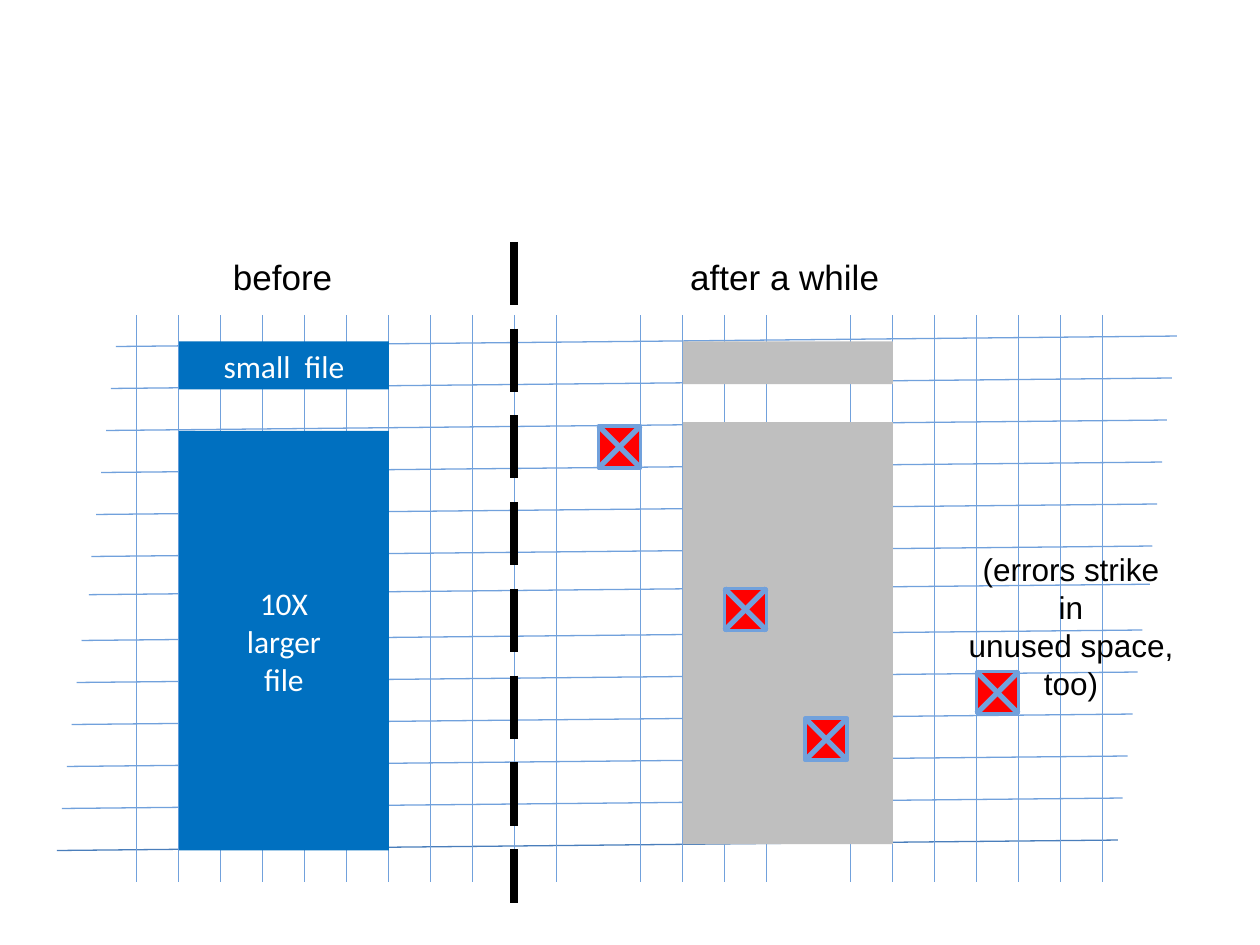
from typing import NamedTuple, Optional

from lxml import etree
from pptx import Presentation
from pptx.dml.color import RGBColor
from pptx.enum.dml import MSO_LINE
from pptx.enum.shapes import MSO_CONNECTOR, MSO_SHAPE
from pptx.enum.text import MSO_ANCHOR, MSO_AUTO_SIZE, PP_ALIGN
from pptx.oxml.ns import qn
from pptx.util import Inches, Pt

RECTANGLE = MSO_SHAPE.RECTANGLE
STRAIGHT = MSO_CONNECTOR.STRAIGHT
LONG_DASH = MSO_LINE.LONG_DASH
MIDDLE = MSO_ANCHOR.MIDDLE
FIT_SHAPE = MSO_AUTO_SIZE.SHAPE_TO_FIT_TEXT
LEFT, CENTER = PP_ALIGN.LEFT, PP_ALIGN.CENTER

COLORS = {
    "grid": "71A1DC",
    "last row": "4A7EBB",
    "file": "0070C0",
    "aged file": "BFBFBF",
    "error": "FF0000",
    "white": "FFFFFF",
    "black": "000000",
}

CELL = 1 / 3
ROW_COUNT, COLUMN_COUNT = 13, 24
GRID_LEFT, GRID_TOP, GRID_BOTTOM = 1.083, 2.5, 7
ROW_LEFT, ROW_TOP, ROW_WIDTH, ROW_RISE, ROW_SHIFT = 0.92, 2.75, 8.42, 0.083, 0.039
OFFSET_ROW, OFFSET_X, OFFSET_Y = 6, 0.02, -0.03
MISSING_COLUMNS = (11, 16)


class Block(NamedTuple):
    left: float
    top: float
    height: float
    color: str
    text: str = ""


class Label(NamedTuple):
    left: float
    top: float
    width: float
    height: float
    text: str
    size: int
    alignment: PP_ALIGN = LEFT


class BadCell(NamedTuple):
    left: float
    top: float


BLOCK_WIDTH = 5 * CELL
BLOCKS = [
    Block(1.42, 2.71, 0.38, "file", "small  file"),
    Block(1.42, 3.42, 3.33, "file", "10X\vlarger\vfile"),
    Block(5.42, 2.71, 0.34, "aged file"),
    Block(5.42, 3.35, 3.35, "aged file"),
]
BAD_CELLS = [BadCell(7.75, 5.33), BadCell(6.39, 5.7),
             BadCell(5.75, 4.67), BadCell(4.75, 3.38)]
LABELS = [
    Label(1.75, 1.98, 0.99, 0.44, "before", 20),
    Label(5.38, 1.98, 1.7, 0.44, "after a while", 20),
    Label(7.57, 4.32, 1.86, 1, "(errors strike in\vunused space,\vtoo)", 18, CENTER),
]


def rgb(name: str) -> RGBColor:
    return RGBColor.from_string(COLORS[name])


def write_text(shape, text: str, *, size: int, font: str, color: str,
               alignment: PP_ALIGN) -> None:
    paragraph = shape.text_frame.paragraphs[0]
    paragraph.text = text
    paragraph.alignment = alignment
    for run in paragraph.runs:
        run.font.size = Pt(size)
        run.font.name = font
        run.font.color.rgb = rgb(color)


def draw_line(slide, x1: float, y1: float, x2: float, y2: float,
              color: str = "grid", width: float = 0.75):
    line = slide.shapes.add_connector(
        STRAIGHT, Inches(x1), Inches(y1), Inches(x2), Inches(y2))
    line.line.color.rgb = rgb(color)
    line.line.width = Pt(width)
    etree.SubElement(line._element.spPr, qn("a:effectLst"))
    return line


def draw_rectangle(slide, left: float, top: float, width: float, height: float,
                   color: str, outline: Optional[str] = None):
    shape = slide.shapes.add_shape(
        RECTANGLE, Inches(left), Inches(top), Inches(width), Inches(height))
    shape.shadow.inherit = False
    shape.fill.solid()
    shape.fill.fore_color.rgb = rgb(color)
    if outline:
        shape.line.color.rgb = rgb(outline)
        shape.line.width = Pt(2)
    else:
        shape.line.fill.background()
    return shape


def draw_grid(slide) -> None:
    for row in range(ROW_COUNT):
        left = ROW_LEFT - row * ROW_SHIFT
        top = ROW_TOP + row * CELL
        if row == OFFSET_ROW:
            left, top = left + OFFSET_X, top + OFFSET_Y
        color = "last row" if row == ROW_COUNT - 1 else "grid"
        draw_line(slide, left, top, left + ROW_WIDTH, top - ROW_RISE, color)
    for column in range(COLUMN_COUNT):
        if column not in MISSING_COLUMNS:
            x = GRID_LEFT + column * CELL
            draw_line(slide, x, GRID_TOP, x, GRID_BOTTOM)


def draw_block(slide, block: Block) -> None:
    shape = draw_rectangle(slide, block.left, block.top, BLOCK_WIDTH,
                           block.height, block.color)
    if block.text:
        shape.text_frame.vertical_anchor = MIDDLE
        write_text(shape, block.text, size=18, font="Calibri", color="white",
                   alignment=CENTER)


def draw_bad_cell(slide, cell: BadCell) -> None:
    right, bottom = cell.left + CELL, cell.top + CELL
    draw_rectangle(slide, cell.left, cell.top, CELL, CELL, "error", outline="grid")
    draw_line(slide, right, cell.top, cell.left, bottom, width=3)
    draw_line(slide, cell.left, cell.top, right, bottom, width=3)


def draw_label(slide, label: Label) -> None:
    box = slide.shapes.add_textbox(Inches(label.left), Inches(label.top),
                                   Inches(label.width), Inches(label.height))
    box.text_frame.word_wrap = False
    box.text_frame.auto_size = FIT_SHAPE
    write_text(box, label.text, size=label.size, font="Arial", color="black",
               alignment=label.alignment)


def main() -> None:
    presentation = Presentation()
    presentation.slide_width, presentation.slide_height = Inches(10), Inches(7.5)
    slide = presentation.slides.add_slide(presentation.slide_layouts[6])

    # Storage surface and the files on it
    draw_grid(slide)
    for block in BLOCKS:
        draw_block(slide, block)

    # Errors
    for cell in BAD_CELLS:
        draw_bad_cell(slide, cell)

    # Divider between before and after
    divider = draw_line(slide, 4.08, 1.92, 4.08, 7.17, "black", 4.5)
    divider.line.dash_style = LONG_DASH

    # Captions
    for label in LABELS:
        draw_label(slide, label)

    presentation.save("out.pptx")


if __name__ == "__main__":
    main()
